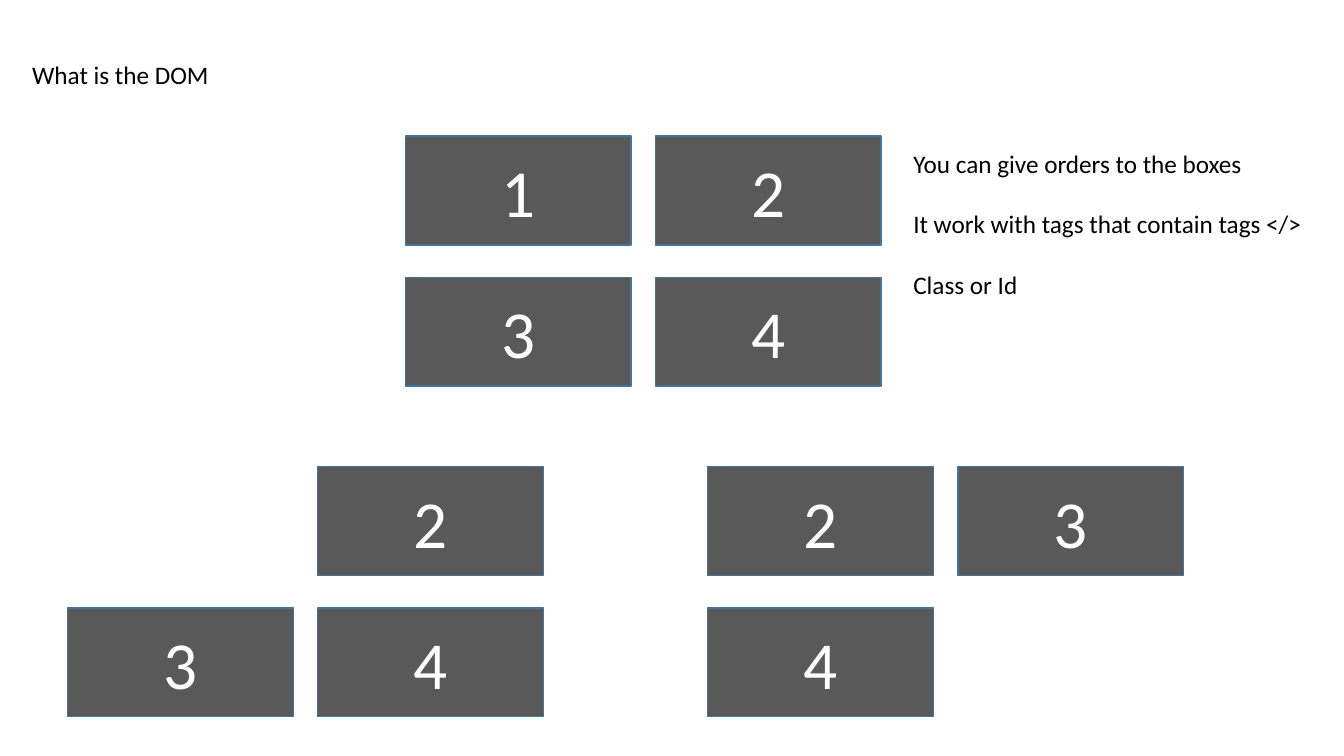
from pptx import Presentation
from pptx.dml.color import RGBColor
from pptx.enum.shapes import MSO_SHAPE
from pptx.enum.text import MSO_ANCHOR, MSO_AUTO_SIZE, PP_ALIGN
from pptx.util import Inches, Pt

# Content
TITLE = ["What is the DOM"]
NOTES = [
    "You can give orders to the boxes",
    "It work with tags that contain tags </>",
    "Class or Id",
]
# Each grid: left, top, rows of labels (None leaves a cell empty)
GRIDS = [
    (4.02, 1.35, [["1", "2"], ["3", "4"]]),
    (0.67, 4.63, [[None, "2"], ["3", "4"]]),
    (7.02, 4.63, [["2", "3"], ["4", None]]),
]

# Style
FONT = "Calibri"
BLACK = RGBColor(0x00, 0x00, 0x00)
WHITE = RGBColor(0xFF, 0xFF, 0xFF)
GRAY = RGBColor(0x59, 0x59, 0x59)
BLUE = RGBColor(0x43, 0x73, 0x9E)
BOX_W, BOX_H = 2.24, 1.08
STEP_X, STEP_Y = 2.48, 1.4


def put_text(frame, lines, size=18, color=BLACK, align=PP_ALIGN.LEFT,
             anchor=MSO_ANCHOR.TOP, gap=0):
    frame.word_wrap = True
    frame.vertical_anchor = anchor
    for i, line in enumerate(lines):
        para = frame.paragraphs[0] if i == 0 else frame.add_paragraph()
        para.alignment = align
        if i:
            para.space_before = Pt(gap)
        run = para.add_run()
        run.text = line
        run.font.name = FONT
        run.font.size = Pt(size)
        run.font.color.rgb = color


def add_note(slide, lines, left, top, width, height, gap=0):
    box = slide.shapes.add_textbox(
        Inches(left), Inches(top), Inches(width), Inches(height))
    put_text(box.text_frame, lines, gap=gap)
    box.text_frame.auto_size = MSO_AUTO_SIZE.SHAPE_TO_FIT_TEXT


def add_grid(slide, left, top, rows):
    group = slide.shapes.add_group_shape()
    for r, row in enumerate(rows):
        for c, label in enumerate(row):
            if label is None:
                continue
            box = group.shapes.add_shape(
                MSO_SHAPE.RECTANGLE,
                Inches(left + c * STEP_X), Inches(top + r * STEP_Y),
                Inches(BOX_W), Inches(BOX_H))
            box.shadow.inherit = False
            box.fill.solid()
            box.fill.fore_color.rgb = GRAY
            box.line.color.rgb = BLUE
            box.line.width = Pt(1)
            put_text(box.text_frame, [label], size=48, color=WHITE,
                     align=PP_ALIGN.CENTER, anchor=MSO_ANCHOR.MIDDLE)


def main():
    deck = Presentation()
    deck.slide_width, deck.slide_height = Inches(13.33), Inches(7.5)
    slide = deck.slides.add_slide(deck.slide_layouts[6])

    # Box grids
    for left, top, rows in GRIDS:
        add_grid(slide, left, top, rows)

    # Title and notes
    add_note(slide, TITLE, 0.22, 0.54, 3.17, 0.4)
    add_note(slide, NOTES, 8.96, 1.42, 4.15, 1.62, gap=21.6)

    deck.save("out.pptx")


if __name__ == "__main__":
    main()
